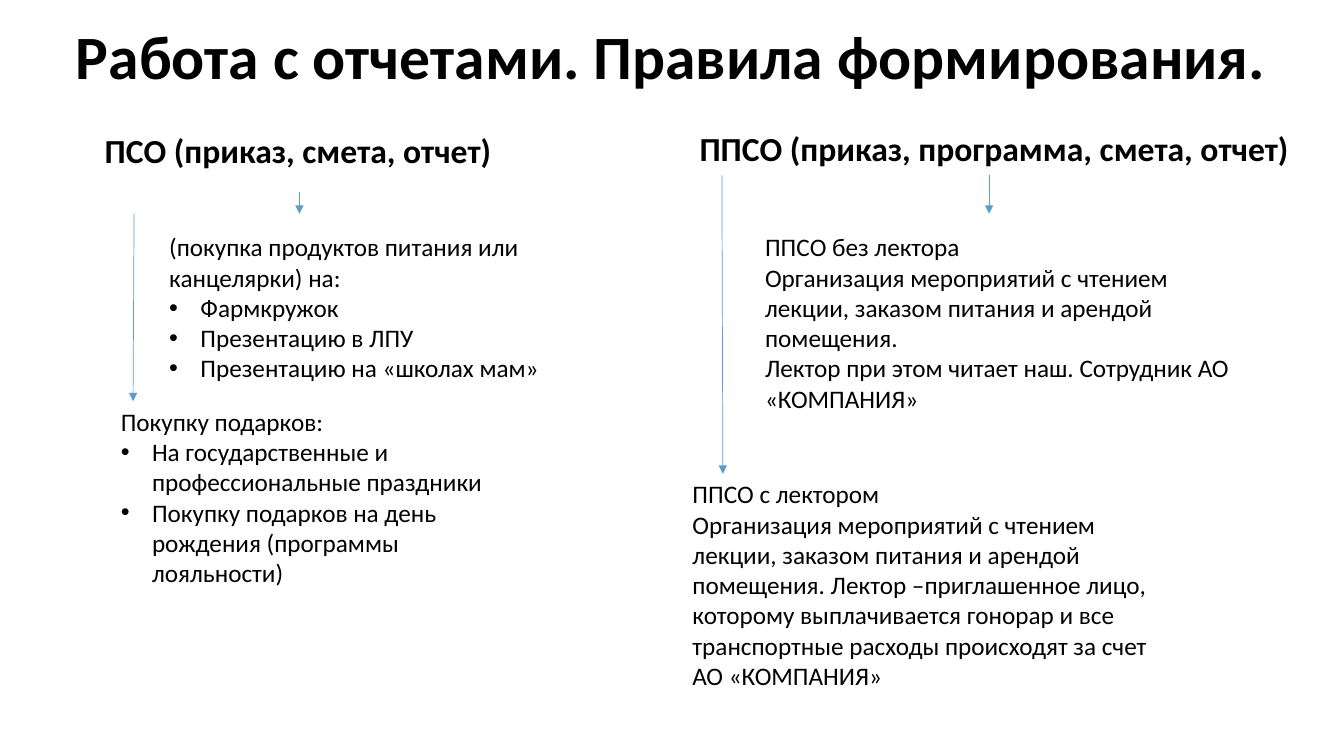
from lxml import etree
from pptx import Presentation
from pptx import util as u
from pptx.dml.color import RGBColor
from pptx.enum import shapes, text
from pptx.oxml.ns import qn

COLORS = {"text": "000000", "arrow": "5B9BD5"}
FONT = "Calibri"
INDENT = u.Inches(0.31)


def add_run(p, words, size, bold=False):
    r = p.add_run()
    r.text = words
    r.font.name = FONT
    r.font.size = u.Pt(size)
    r.font.bold = bold
    r.font.color.rgb = RGBColor.from_string(COLORS["text"])


def set_bullet(p):
    pPr = p._p.get_or_add_pPr()
    pPr.set("marL", str(INDENT))
    pPr.set("indent", str(-INDENT))
    etree.SubElement(pPr, qn("a:buFont")).set("typeface", "Arial")
    etree.SubElement(pPr, qn("a:buChar")).set("char", "•")


def add_text(slide, box, lines, bullets=(), size=18, bold=False):
    tf = slide.shapes.add_textbox(*map(u.Inches, box)).text_frame
    tf.word_wrap = True
    tf.auto_size = text.MSO_AUTO_SIZE.SHAPE_TO_FIT_TEXT
    for i, words in enumerate([*lines, *bullets]):
        p = tf.paragraphs[0] if i == 0 else tf.add_paragraph()
        if i >= len(lines):
            set_bullet(p)
        add_run(p, words, size, bold)


def add_arrow(slide, start, end):
    c = slide.shapes.add_connector(
        shapes.MSO_CONNECTOR.STRAIGHT, *map(u.Inches, (*start, *end)))
    c.line.color.rgb = RGBColor.from_string(COLORS["arrow"])
    c.line.width = u.Pt(0.5)
    etree.SubElement(c.line._get_or_add_ln(), qn("a:tailEnd")).set("type", "triangle")
    etree.SubElement(c._element.spPr, qn("a:effectLst"))


def add_title(slide, box, words):
    sp = slide.shapes.title
    sp.left, sp.top, sp.width, sp.height = map(u.Inches, box)
    tf = sp.text_frame
    tf.auto_size = text.MSO_AUTO_SIZE.NONE
    tf.vertical_anchor = text.MSO_ANCHOR.BOTTOM
    p = tf.paragraphs[0]
    p.alignment = text.PP_ALIGN.CENTER
    p.line_spacing = 0.9
    add_run(p, words, 44, bold=True)


def add_branch(slide, box, heading, notes, arrows):
    """Heading in the box; notes and arrows are offset from its corner."""
    left, top, _, _ = box
    add_text(slide, box, [heading], size=24, bold=True)
    for (dx, dy, width, height), lines, bullets in notes:
        add_text(slide, (left + dx, top + dy, width, height), lines, bullets)
    for (x1, y1), (x2, y2) in arrows:
        add_arrow(slide, (left + x1, top + y1), (left + x2, top + y2))


def main():
    prs = Presentation()
    prs.slide_width, prs.slide_height = u.Inches(13.33), u.Inches(7.5)
    slide = prs.slides.add_slide(prs.slide_layouts[5])

    add_title(slide, (0.32, 0.2, 12.82, 0.77),
              "Работа с отчетами. Правила формирования. ")

    # Left branch: ПСО
    add_branch(
        slide, (0.94, 1.24, 4.07, 0.5), "ПСО (приказ, смета, отчет)",
        notes=[
            ((0.64, 1.01, 4.01, 1.62),
             ["(покупка продуктов питания или канцелярки) на:"],
             ["Фармкружок", "Презентацию в ЛПУ", "Презентацию на «школах мам»"]),
            ((0.16, 2.74, 4.04, 1.92),
             ["Покупку подарков:"],
             ["На государственные и профессиональные праздники",
              "Покупку подарков на день рождения (программы лояльности)"]),
        ],
        arrows=[((2.03, 0.66), (2.03, 0.88)), ((0.39, 0.88), (0.38, 2.74))])

    # Right branch: ППСО
    event = ("Организация мероприятий с чтением лекции, "
             "заказом питания и арендой помещения.")
    company = "АО «КОМПАНИЯ»"
    add_branch(
        slide, (6.84, 1.22, 6.3, 0.5), "ППСО (приказ, программа, смета, отчет)",
        notes=[
            ((0.65, 1.03, 5, 1.92),
             ["ППСО без лектора", event,
              f"Лектор при этом читает наш. Сотрудник {company}"], []),
            ((-0.07, 3.48, 5, 2.22),
             ["ППСО с лектором",
              f"{event} Лектор –приглашенное лицо, которому выплачивается "
              f"гонорар и все транспортные расходы происходят за счет {company}"], []),
        ],
        arrows=[((2.97, 0.52), (2.97, 0.9)), ((0.32, 0.52), (0.33, 3.48))])

    prs.save("out.pptx")


if __name__ == "__main__":
    main()
